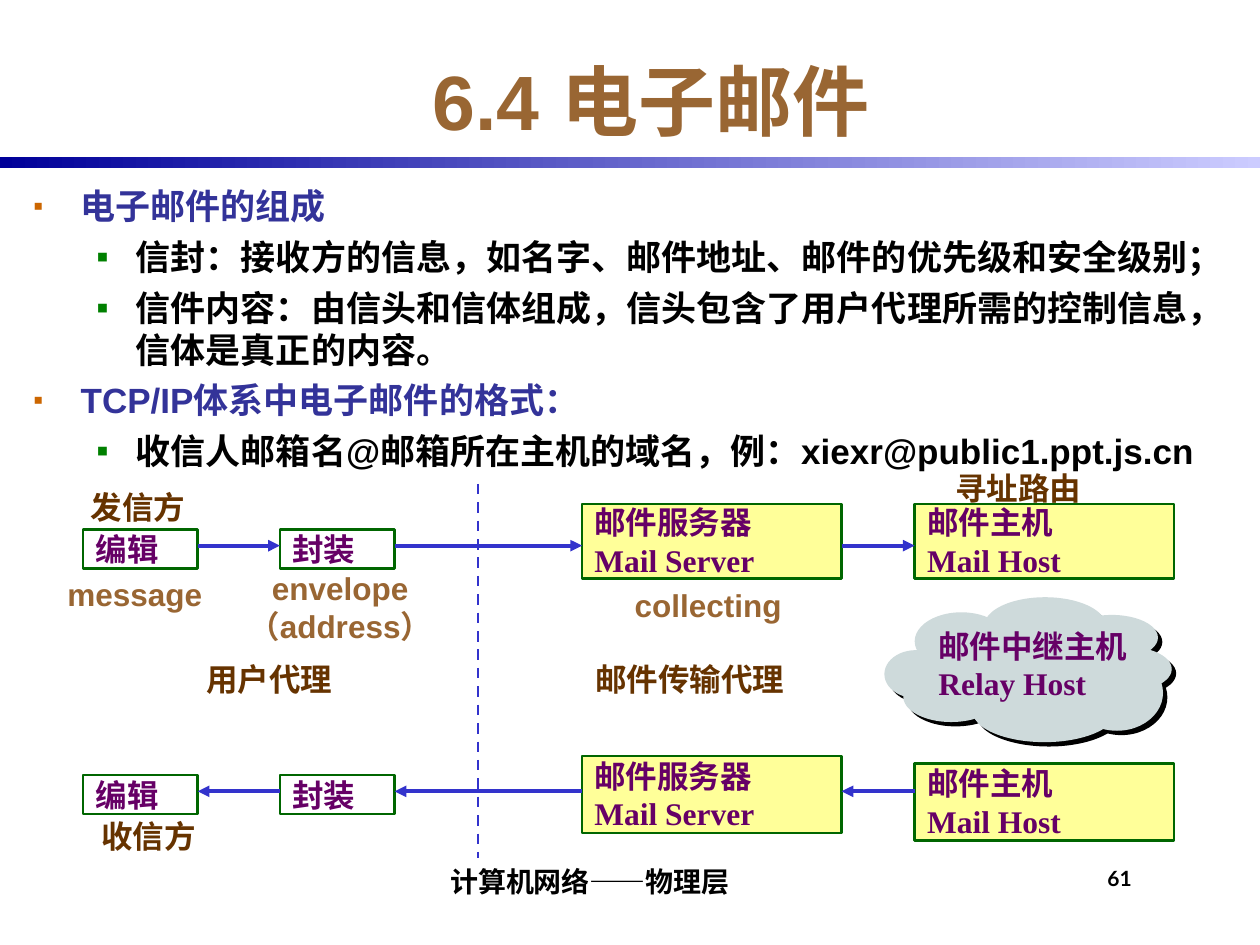
from lxml import etree
from pptx import Presentation
from pptx import util as u
from pptx.dml.color import RGBColor
from pptx.enum import dml, shapes, text
from pptx.oxml import ns

COLORS = {
    "title": "996633", "heading": "333399", "black": "000000", "label": "663300",
    "node": "660066", "border": "006600", "white": "FFFFFF", "yellow": "FFFF99",
    "arrow": "3333CC", "cloud": "CEDADB", "bar_light": "CCCCFF", "bar_dark": "000099",
    "bullet": "CC6600", "sub_bullet": "008000",
}
RGB = {name: RGBColor.from_string(value) for name, value in COLORS.items()}
LEFT, CENTER, RIGHT = text.PP_ALIGN.LEFT, text.PP_ALIGN.CENTER, text.PP_ALIGN.RIGHT
TOP, MIDDLE, BOTTOM = text.MSO_ANCHOR.TOP, text.MSO_ANCHOR.MIDDLE, text.MSO_ANCHOR.BOTTOM
SERIF, SANS = "Times New Roman", "Arial"


def write(shape, lines, size, color, font, align=CENTER, anchor=MIDDLE, wrap=False):
    frame = shape.text_frame
    frame.word_wrap = wrap
    frame.vertical_anchor = anchor
    frame.margin_left = frame.margin_right = u.Pt(7.2)
    frame.margin_top = frame.margin_bottom = u.Pt(3.6)
    for index, line in enumerate(lines):
        para = frame.paragraphs[0] if index == 0 else frame.add_paragraph()
        para.alignment = align
        span = para.add_run()
        span.text = line
        span.font.name = font
        span.font.size = u.Pt(size)
        span.font.bold = True
        span.font.color.rgb = RGB[color]
    return frame


def add_solid(kind, bounds, fill):
    shape = page.shapes.add_shape(kind, *map(u.Pt, bounds))
    shape.shadow.inherit = False
    shape.fill.solid()
    shape.fill.fore_color.rgb = RGB[fill]
    shape.line.fill.background()
    return shape


deck = Presentation()
deck.slide_width, deck.slide_height = u.Pt(720), u.Pt(540)
page = deck.slides.add_slide(deck.slide_layouts[5])

bar = add_solid(shapes.MSO_SHAPE.RECTANGLE, (0, 90, 720, 6), "bar_dark")
bar.fill.gradient()
bar.fill.gradient_angle = 180
for stop, name in zip(bar.fill.gradient_stops, ("bar_light", "bar_dark")):
    stop.color.rgb = RGB[name]

title = page.shapes.title
title.left, title.top, title.width, title.height = map(u.Pt, (66, 24, 612, 66))
write(title, ["6.4 电子邮件"], 44, "title", SANS, wrap=True)

points = [
    (0, "电子邮件的组成"),
    (1, "信封：接收方的信息，如名字、邮件地址、邮件的优先级和安全级别；"),
    (1, "信件内容：由信头和信体组成，信头包含了用户代理所需的控制信息，信体是真正的内容。"),
    (0, "TCP/IP体系中电子邮件的格式："),
    (1, "收信人邮箱名@邮箱所在主机的域名，例：xiexr@public1.ppt.js.cn"),
]
levels = [("heading", "bullet", 80, 27, -27), ("black", "sub_bullet", 100, 58.5, -22.5)]
body = page.shapes.add_textbox(*map(u.Pt, (12, 102, 708, 378)))
frame = write(body, [line for _, line in points], 20, "black", SANS, LEFT, TOP, True)
for index, (para, (level, _)) in enumerate(zip(frame.paragraphs, points)):
    color, bullet, scale, margin, indent = levels[level]
    props = para._p.get_or_add_pPr()
    props.set("marL", str(u.Pt(margin)))
    props.set("indent", str(u.Pt(indent)))
    bullet_color = etree.SubElement(props, ns.qn("a:buClr"))
    etree.SubElement(bullet_color, ns.qn("a:srgbClr"), val=COLORS[bullet])
    etree.SubElement(props, ns.qn("a:buSzPct"), val=str(scale * 1000))
    etree.SubElement(props, ns.qn("a:buFont"), typeface=SANS)
    etree.SubElement(props, ns.qn("a:buChar"), char="▪")
    para.level = level
    para.runs[0].font.color.rgb = RGB[color]
    if index:
        para.space_before = u.Pt(5)

columns = [
    (47.5, 65.5, "white", ["编辑"]),
    (160, 65.5, "white", ["封装"]),
    (332.6, 148.3, "yellow", ["邮件服务器", "Mail Server"]),
    (522.7, 148.3, "yellow", ["邮件主机", "Mail Host"]),
]
rows = [
    (311.8, "tailEnd", [(302.4, 22.3), (302.4, 22.3), (288, 42.5), (288, 42.5)]),
    (452.2, "headEnd", [(442.8, 22.3), (442.8, 22.3), (432, 44), (436.3, 44)]),
]
lines = [((273.2, 276.5), (273.2, 490.3), 1.5, None)]
for arrow_y, arrowhead, spans in rows:
    for (left, width, fill, lines_of_text), (top, height) in zip(columns, spans):
        node = add_solid(shapes.MSO_SHAPE.RECTANGLE, (left, top, width, height), fill)
        node.line.color.rgb = RGB["border"]
        node.line.width = u.Pt(1.5)
        write(node, lines_of_text, 18, "node", SERIF, LEFT)
    for before, after in zip(columns, columns[1:]):
        lines.append(((before[0] + before[1], arrow_y), (after[0], arrow_y), 2.25, arrowhead))

for start, end, width, arrowhead in lines:
    link = page.shapes.add_connector(shapes.MSO_CONNECTOR.STRAIGHT, *map(u.Pt, start + end))
    link.line.color.rgb = RGB["arrow"]
    link.line.width = u.Pt(width)
    etree.SubElement(link._element.spPr, ns.qn("a:effectLst"))
    if arrowhead:
        etree.SubElement(link.line._get_or_add_ln(), ns.qn("a:" + arrowhead), type="triangle")
    else:
        link.line.dash_style = dml.MSO_LINE.DASH

lobes = [
    (562.3, 341.3, 69.8, 33.1), (522.7, 349.9, 53.3, 33.1), (505.4, 371.5, 36, 27.4),
    (516.2, 383.8, 54.7, 28.8), (555.8, 388.8, 82.1, 35.3), (609.1, 351.4, 52.6, 25.9),
    (617, 369.4, 52.6, 25.9), (612, 374.4, 52.6, 43.2), (535, 360.7, 106.6, 43.9),
]
for fill, shift in (("black", 2.5), ("cloud", 0)):
    for left, top, width, height in lobes:
        add_solid(shapes.MSO_SHAPE.OVAL, (left + shift, top + shift, width, height), fill)

labels = [
    ((104, 373.7, 100, 28.8), ["用户代理"], 18, "label", SERIF, CENTER, MIDDLE),
    ((324, 373.7, 140, 28.8), ["邮件传输代理"], 18, "label", SERIF, CENTER, MIDDLE),
    ((39, 275.4, 80, 28.8), ["发信方"], 18, "label", SERIF, CENTER, MIDDLE),
    ((45, 463, 80, 28.8), ["收信方"], 18, "label", SERIF, CENTER, MIDDLE),
    ((22, 325, 110, 28.8), ["message"], 18, "title", SANS, CENTER, MIDDLE),
    ((130.3, 321.5, 128.2, 50.4), ["envelope", "（address）"], 18, "title", SANS, CENTER, MIDDLE),
    ((344.7, 331.5, 120, 28.8), ["collecting"], 18, "title", SANS, CENTER, MIDDLE),
    ((525, 264.5, 100, 28.8), ["寻址路由"], 18, "label", SERIF, RIGHT, TOP),
    ((529.2, 354.5, 130, 83.5), ["邮件中继主机", "Relay Host"], 18, "node", SERIF, LEFT, TOP),
    ((151, 486.5, 372.2, 30.2), ["计算机网络——物理层"], 16, "black", "Lato", CENTER, BOTTOM),
    ((625.7, 491, 46, 30.2), ["61"], 12, "black", "Lato", LEFT, TOP),
]
for bounds, lines_of_text, size, color, font, align, anchor in labels:
    box = page.shapes.add_textbox(*map(u.Pt, bounds))
    write(box, lines_of_text, size, color, font, align, anchor, True)

deck.save("out.pptx")
